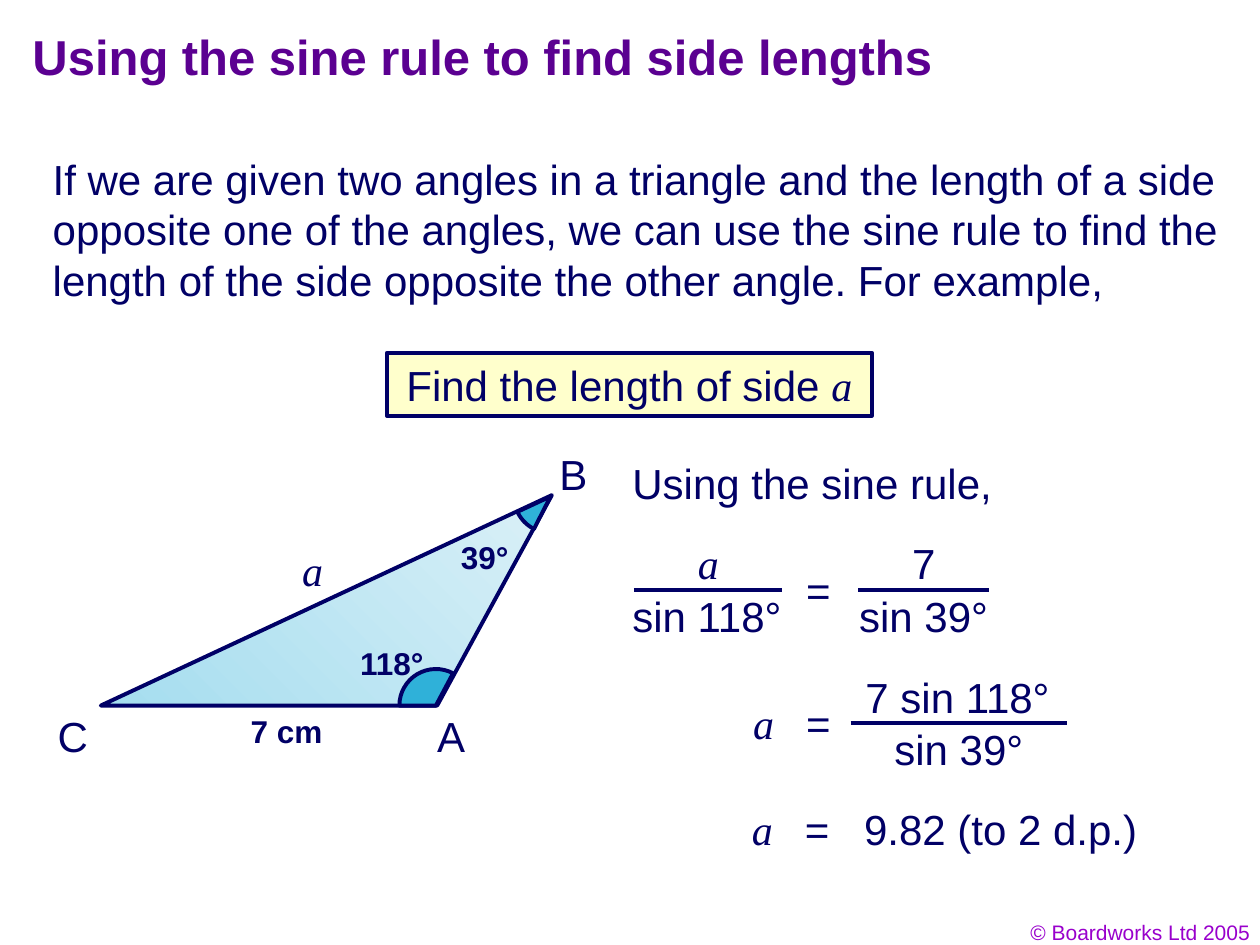
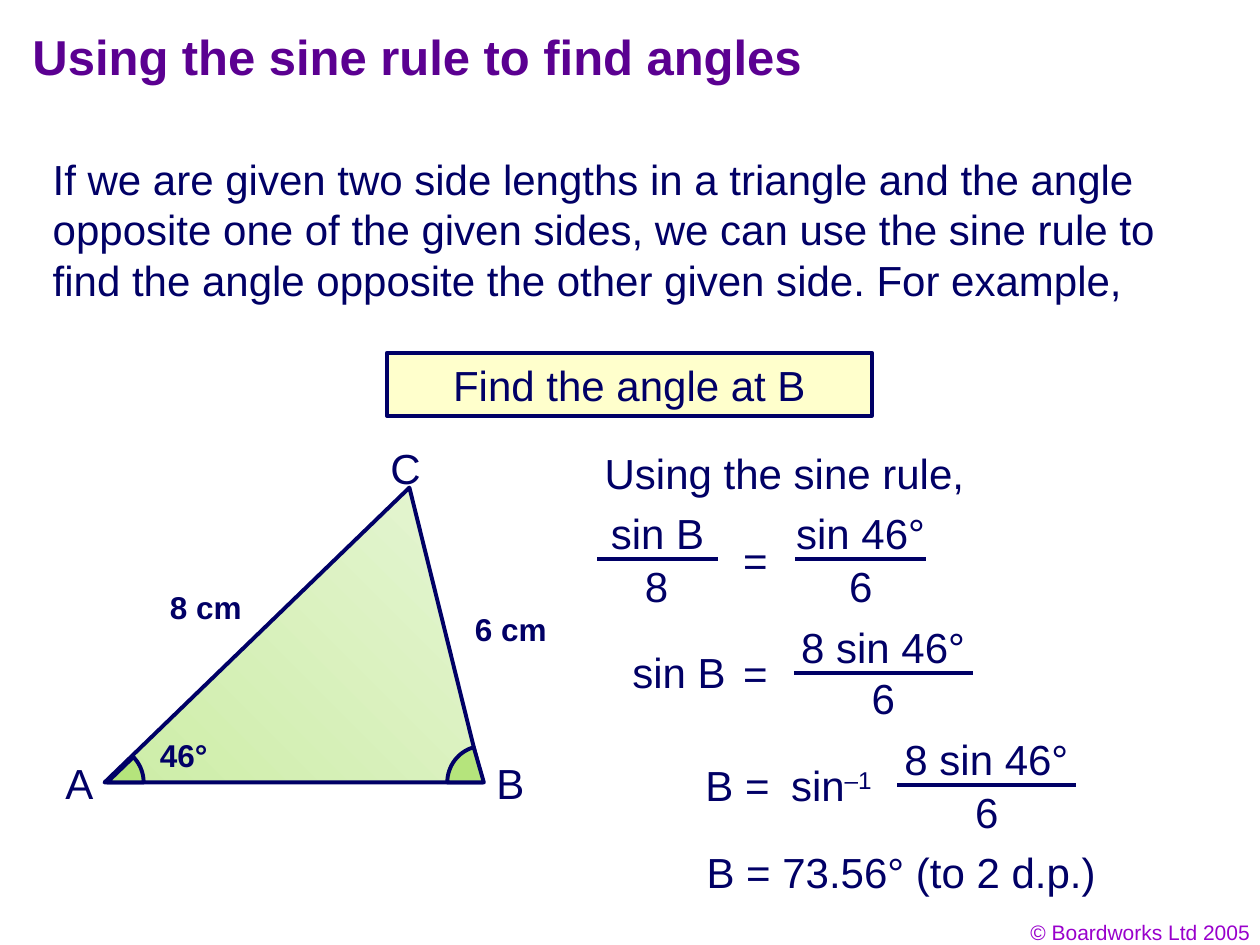
import math
import pptx
import pptx.dml.color
import pptx.enum.shapes
import pptx.enum.text
import pptx.oxml
import pptx.oxml.ns
import pptx.util

Inches = pptx.util.Inches
RGB = pptx.dml.color.RGBColor.from_string
ALIGN = pptx.enum.text.PP_ALIGN

COLORS = {
    "title": "5B0091",
    "text": "010066",
    "outline": "000066",
    "task": "FFFFCC",
    "footer": "9900CC",
}
VARIABLE = {"font": "Times New Roman", "italic": True}
MEASURE = {"size": 18, "bold": True, "height": 0.4}
ANGLE_RADIUS = 0.29
ARC_STEPS = 16


def write(frame, text, size=24, font="Arial", color="text", bold=False, italic=False,
          align=ALIGN.LEFT, raised=False):
    paragraph = frame.paragraphs[0]
    paragraph.alignment = align
    run = paragraph.add_run()
    run.text = text
    run.font.size = pptx.util.Pt(size)
    run.font.name = font
    run.font.bold = bold
    run.font.italic = italic
    run.font.color.rgb = RGB(COLORS[color])
    if raised:
        run._r.get_or_add_rPr().set("baseline", "30000")


def label(slide, text, left, top, width, height=0.5, wrap=False, **style):
    frame = slide.shapes.add_textbox(
        Inches(left), Inches(top), Inches(width), Inches(height)).text_frame
    frame.word_wrap = wrap
    write(frame, text, **style)
    return frame


lessons = [
    {
        "title": "Using the sine rule to find side lengths",
        "intro": "If we are given two angles in a triangle and the length of a side opposite "
                 "one of the angles, we can use the sine rule to find the length of the side "
                 "opposite the other angle. For example,",
        "task": [("Find the length of side ", {}), ("a", VARIABLE)],
        "corners": [(0.8, 5.6), (3.47, 5.6), (4.38, 3.93)],
        "gradient": ("DAF0F7", "A5DDEF"),
        "angle_fill": "2FB1D9",
        "angles": [(3.46, 5.6, 180, 62), (4.37, 3.94, 205, 243)],
        "bars": [(5.03, 6.21, 4.68), (6.81, 7.85, 4.68), (6.75, 8.47, 5.74)],
        "labels": [
            ("Using the sine rule,", 4.92, 3.58, 3.05, {}),
            ("a", 5.44, 4.22, 0.36, VARIABLE),
            ("sin 118°", 4.92, 4.64, 1.41, {}),
            ("=", 6.3, 4.43, 0.39, {}),
            ("7", 7.14, 4.22, 0.38, {}),
            ("sin 39°", 6.72, 4.64, 1.22, {}),
            ("a", 5.88, 5.49, 0.36, VARIABLE),
            ("=", 6.3, 5.49, 0.39, {}),
            ("7 sin 118°", 6.77, 5.28, 1.68, {}),
            ("sin 39°", 7, 5.69, 1.22, {}),
            ("a", 5.87, 6.33, 0.36, VARIABLE),
            ("=", 6.29, 6.33, 0.39, {}),
            ("9.82 (to 2 d.p.)", 6.76, 6.33, 2.6, {"wrap": True}),
            ("a", 2.3, 4.27, 0.36, VARIABLE),
            ("7 cm", 1.89, 5.6, 0.77, MEASURE),
            ("118°", 2.76, 5.06, 0.71, MEASURE),
            ("39°", 3.56, 4.22, 0.58, MEASURE),
            ("A", 3.37, 5.59, 0.42, {}),
            ("B", 4.34, 3.51, 0.42, {}),
            ("C", 0.36, 5.59, 0.44, {}),
        ],
    },
    {
        "title": "Using the sine rule to find angles",
        "intro": "If we are given two side lengths in a triangle and the angle opposite one of "
                 "the given sides, we can use the sine rule to find the angle opposite the "
                 "other given side. For example,",
        "task": [("Find the angle at B", {})],
        "corners": [(0.83, 6.21), (3.83, 6.21), (3.25, 3.87)],
        "gradient": ("E5F5D3", "CDEDA7"),
        "angle_fill": "B5E47C",
        "angles": [(3.84, 6.21, 180, 106), (0.85, 6.21, 0, 44)],
        "bars": [(4.74, 5.7, 4.44), (6.31, 7.35, 4.44), (6.3, 7.72, 5.34), (7.12, 8.54, 6.23)],
        "labels": [
            ("Using the sine rule,", 4.7, 3.5, 3.05, {}),
            ("sin B", 4.75, 3.98, 0.94, {}),
            ("8", 5.02, 4.4, 0.38, {}),
            ("=", 5.8, 4.19, 0.39, {}),
            ("sin 46°", 6.22, 3.98, 1.22, {}),
            ("6", 6.64, 4.4, 0.38, {}),
            ("sin B", 4.92, 5.08, 0.94, {}),
            ("=", 5.8, 5.09, 0.39, {}),
            ("8 sin 46°", 6.26, 4.88, 1.5, {}),
            ("6", 6.82, 5.29, 0.38, {}),
            ("B =", 5.5, 5.98, 0.71, {}),
            ("8 sin 46°", 7.08, 5.77, 1.5, {}),
            ("6", 7.64, 6.19, 0.38, {}),
            ("B = 73.56° (to 2 d.p.)", 5.51, 6.67, 3.5, {"wrap": True}),
            ("6 cm", 3.67, 4.79, 0.77, MEASURE),
            ("46°", 1.17, 5.79, 0.58, MEASURE),
            ("8 cm", 1.25, 4.62, 0.77, MEASURE),
            ("B", 3.84, 5.96, 0.42, {}),
            ("A", 0.42, 5.96, 0.42, {}),
            ("C", 3, 3.46, 0.44, {}),
        ],
    },
]

deck = pptx.Presentation()
deck.slide_width = Inches(10)
deck.slide_height = Inches(7.5)

for lesson in lessons:
    slide = deck.slides.add_slide(deck.slide_layouts[6])
    label(slide, "© Boardworks Ltd 2005", 7.69, 7.25, 2.33, 0.3, wrap=True,
          size=12, color="footer", align=ALIGN.RIGHT)
    label(slide, lesson["title"], 0.16, 0.16, 8.5, 0.67, wrap=True,
          size=28, color="title", bold=True)
    label(slide, lesson["intro"], 0.32, 1.17, 9.52, 1.3, wrap=True)

    task = slide.shapes.add_shape(pptx.enum.shapes.MSO_SHAPE.RECTANGLE,
                                  Inches(3.07), Inches(2.8), Inches(3.85), Inches(0.5))
    task.fill.solid()
    task.fill.fore_color.rgb = RGB(COLORS["task"])
    for text, style in lesson["task"]:
        write(task.text_frame, text, align=ALIGN.CENTER, **style)

    outlines = [lesson["corners"]]
    for x, y, start, end in lesson["angles"]:
        turns = [math.radians(start + (end - start) * step / ARC_STEPS)
                 for step in range(ARC_STEPS + 1)]
        outlines.append([(x, y)] + [(x + ANGLE_RADIUS * math.cos(turn),
                                     y - ANGLE_RADIUS * math.sin(turn)) for turn in turns])

    figures = []
    for outline in outlines:
        points = [(Inches(x), Inches(y)) for x, y in outline]
        builder = slide.shapes.build_freeform(*points[0])
        builder.add_line_segments(points[1:], close=True)
        figures.append(builder.convert_to_shape())

    triangle, *angle_marks = figures
    triangle.fill.gradient()
    triangle.fill.gradient_angle = 225
    for stop, shade in zip(triangle.fill.gradient_stops, lesson["gradient"]):
        stop.color.rgb = RGB(shade)
    for mark in angle_marks:
        mark.fill.solid()
        mark.fill.fore_color.rgb = RGB(lesson["angle_fill"])
    for outlined in [task, *figures]:
        outlined.shadow.inherit = False
        outlined.line.color.rgb = RGB(COLORS["outline"])
        outlined.line.width = pptx.util.Pt(2.25)

    for left, right, height in lesson["bars"]:
        fraction_bar = slide.shapes.add_connector(
            pptx.enum.shapes.MSO_CONNECTOR.STRAIGHT,
            Inches(left), Inches(height), Inches(right), Inches(height))
        fraction_bar.line.color.rgb = RGB(COLORS["outline"])
        fraction_bar.line.width = pptx.util.Pt(2.25)
        fraction_bar._element.spPr.append(pptx.oxml.parse_xml(
            "<a:effectLst %s/>" % pptx.oxml.ns.nsdecls("a")))

    for text, left, top, width, style in lesson["labels"]:
        label(slide, text, left, top, width, **style)

inverse_sine = label(slide, "sin", 6.18, 5.98, 0.84)
write(inverse_sine, "–1", raised=True)

deck.save("out.pptx")
